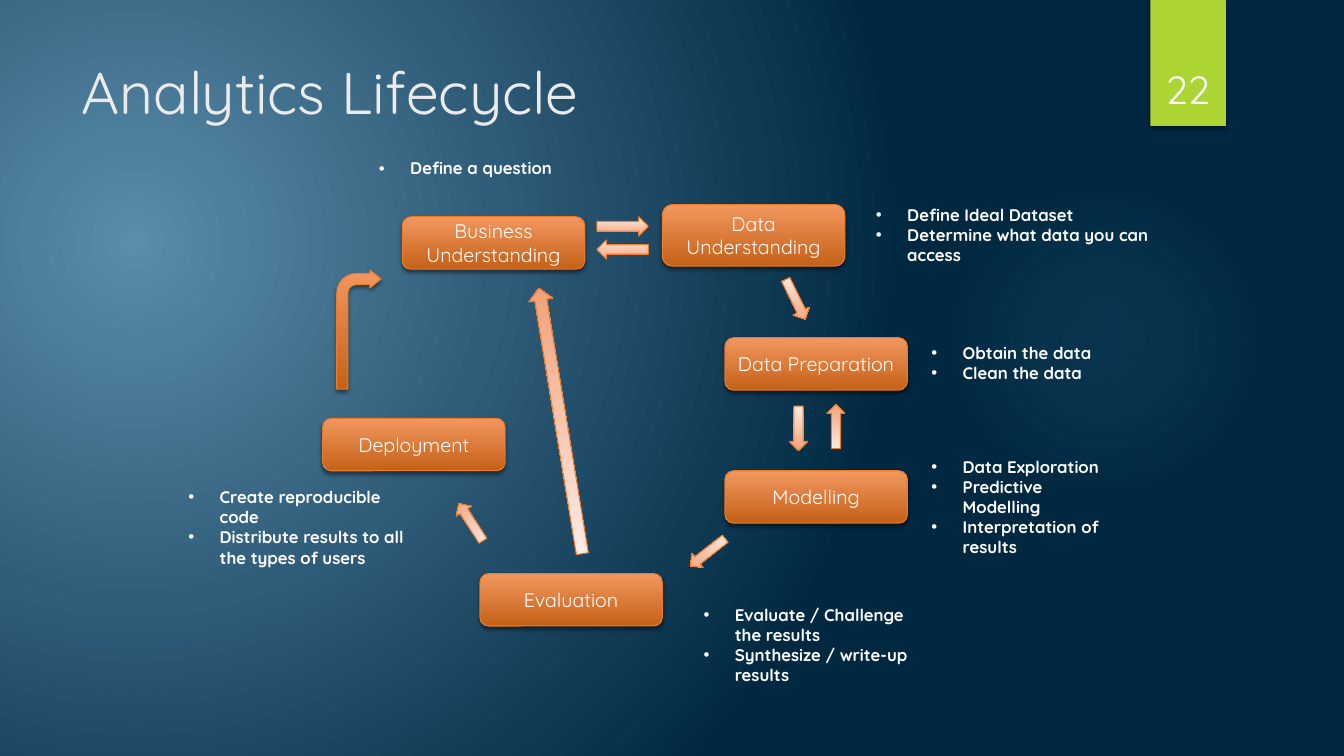
from dataclasses import dataclass

import pptx
import pptx.dml.color
import pptx.enum.shapes
import pptx.enum.text
import pptx.oxml
import pptx.oxml.ns
import pptx.util
from pptx.util import Inches

KIND = pptx.enum.shapes.MSO_SHAPE
ALIGN = pptx.enum.text.PP_ALIGN
ANCHOR = pptx.enum.text.MSO_ANCHOR
FIT = pptx.enum.text.MSO_AUTO_SIZE
qn = pptx.oxml.ns.qn
FONT = "Quicksand"
WHITE = "FFFFFF"
EDGE = "EF7A24"
DARK = [(0, "F2975F", 100), (100, "C56118", 100)]
LIGHT = [(0, "FCEDE7", 100), (100, "F3A078", 100)]
DOWN = '<a:lin ang="5400000" scaled="0"/>'


@dataclass
class Step:
    name: str
    left: float
    top: float
    high: float = 0.52


@dataclass
class Note:
    left: float
    top: float
    wide: float
    high: float
    lines: list[str]


@dataclass
class Arrow:
    left: float
    top: float
    turn: float = 0
    wide: float = 0.18
    high: float = 0.44
    kind: KIND = KIND.DOWN_ARROW


STEPS = [
    Step("Business Understanding", 3.99, 2.15),
    Step("Deployment", 3.2, 4.15),
    Step("Data Understanding", 6.57, 2.03, 0.61),
    Step("Data Preparation", 7.19, 3.35),
    Step("Modelling", 7.19, 4.67),
    Step("Evaluation", 4.76, 5.69),
]
NOTES = [
    Note(3.66, 1.52, 2.01, 0.3, ["Define a question"]),
    Note(8.59, 1.98, 2.96, 0.71,
         ["Define Ideal Dataset", "Determine what data you can access"]),
    Note(9.14, 3.35, 1.89, 0.5, ["Obtain the data", "Clean the data"]),
    Note(9.14, 4.48, 1.89, 1.11,
         ["Data Exploration", "Predictive Modelling", "Interpretation of results"]),
    Note(6.88, 5.95, 2.39, 0.91,
         ["Evaluate / Challenge the results", "Synthesize / write-up results"]),
    Note(1.77, 4.78, 2.51, 0.71,
         ["Create reproducible code", "Distribute results to all the types of users"]),
]
ARROWS = [
    Arrow(5.92, 2.15, 0, 0.51, 0.19, KIND.RIGHT_ARROW),
    Arrow(5.92, 2.38, 0, 0.51, 0.19, KIND.LEFT_ARROW),
    Arrow(7.8, 2.75, 334),
    Arrow(7.83, 4.03),
    Arrow(6.93, 5.26, 52),
    Arrow(4.58, 4.96, 147),
    Arrow(8.2, 4.01, 180),
    Arrow(5.44, 2.84, 170.7, 0.24, 2.67),
]


def rgb(code: str):
    return pptx.dml.color.RGBColor.from_string(code)


def parts(xml: str):
    """Read a run of drawing elements from XML text."""
    space = pptx.oxml.ns.nsdecls("a")
    return list(pptx.oxml.parse_xml(f"<a:gradFill {space}>{xml}</a:gradFill>"))


def blend(owner, fill, stops: list[tuple[int, str, int]], way: str) -> None:
    """Fill with a gradient of (place, colour, opacity) stops, in percent."""
    fill.gradient()
    grad = owner.element.find(".//" + qn("a:gradFill"))
    for child in list(grad):
        grad.remove(child)
    grad.set("rotWithShape", "1")
    marks = "".join(
        f'<a:gs pos="{place * 1000}"><a:srgbClr val="{code}">'
        f'<a:alpha val="{alpha * 1000}"/></a:srgbClr></a:gs>'
        for place, code, alpha in stops)
    grad.extend(parts(f"<a:gsLst>{marks}</a:gsLst>{way}"))


def round_way(left: int, top: int, right: int, bottom: int) -> str:
    return (f'<a:path path="circle"><a:fillToRect l="{left * 1000}" t="{top * 1000}" '
            f'r="{right * 1000}" b="{bottom * 1000}"/></a:path>')


def style(frame, size: float, code: str = WHITE, bold: bool = False,
          align=ALIGN.LEFT) -> None:
    for para in frame.paragraphs:
        para.alignment = align
        for run in para.runs:
            run.font.name = FONT
            run.font.size = pptx.util.Pt(size)
            run.font.bold = bold
            run.font.color.rgb = rgb(code)


def add_shape(slide, kind, left: float, top: float, wide: float, high: float):
    shape = slide.shapes.add_shape(
        kind, Inches(left), Inches(top), Inches(wide), Inches(high))
    shape.shadow.inherit = False
    shape.line.fill.background()
    return shape


def add_text(slide, left: float, top: float, wide: float, high: float, text: str):
    frame = slide.shapes.add_textbox(
        Inches(left), Inches(top), Inches(wide), Inches(high)).text_frame
    frame.word_wrap = True
    frame.text = text
    return frame


def add_shadow(shape) -> None:
    shape.element.find(".//" + qn("a:effectLst")).extend(parts(
        '<a:outerShdw blurRad="38100" dist="25400" dir="5400000" rotWithShape="0">'
        '<a:srgbClr val="000000"><a:alpha val="45000"/></a:srgbClr></a:outerShdw>'))


def paint(shape, stops: list[tuple[int, str, int]]) -> None:
    """Give a shape its downward gradient and orange edge."""
    blend(shape, shape.fill, stops, DOWN)
    shape.line.color.rgb = rgb(EDGE)
    shape.line.width = pptx.util.Pt(0.75)


def draw_note(slide, note: Note) -> None:
    frame = add_text(slide, note.left, note.top, note.wide, note.high,
                     "\n".join(note.lines))
    frame.auto_size = FIT.SHAPE_TO_FIT_TEXT
    style(frame, 12, bold=True)
    for para in frame.paragraphs:
        props = para._p.get_or_add_pPr()
        props.set("marL", str(Inches(0.31)))
        props.set("indent", str(Inches(-0.31)))
        props.extend(parts('<a:buFont typeface="Arial"/><a:buChar char="•"/>'))


def draw_step(slide, step: Step) -> None:
    box = add_shape(slide, KIND.ROUNDED_RECTANGLE, step.left, step.top, 1.81, step.high)
    paint(box, DARK)
    add_shadow(box)
    frame = box.text_frame
    frame.word_wrap = True
    frame.vertical_anchor = ANCHOR.MIDDLE
    frame.text = step.name
    style(frame, 14, align=ALIGN.CENTER)


def draw_arrow(slide, arrow: Arrow) -> None:
    shape = add_shape(slide, arrow.kind, arrow.left, arrow.top, arrow.wide, arrow.high)
    shape.rotation = arrow.turn
    paint(shape, LIGHT)


def draw_frame(slide) -> None:
    """Draw the backdrop, the title and the page number."""
    blend(slide, slide.background.fill,
          [(0, "5A8CAB", 100), (100, "002841", 100)], round_way(45, 65, 125, 100))
    glow = add_shape(slide, KIND.OVAL, 9.41, 1.83, 3.08, 3.08)
    blend(glow, glow.fill, [(0, "7AC4F0", 7), (36, "7AC4F0", 6), (69, "7AC4F0", 0)],
          round_way(50, 50, 50, 50))
    tab = add_shape(slide, KIND.RECTANGLE, 11.41, 0, 0.75, 1.25)
    tab.fill.solid()
    tab.fill.fore_color.rgb = rgb("ACD433")
    add_shadow(tab)

    title = slide.shapes.title
    title.left, title.top = Inches(0.71), Inches(0.5)
    title.width, title.height = Inches(10.29), Inches(1.53)
    title.text_frame.text = "Analytics Lifecycle"
    title.text_frame.vertical_anchor = ANCHOR.TOP
    title.text_frame.auto_size = FIT.NONE
    style(title.text_frame, 42, "EBEBEB")

    page = add_text(slide, 11.32, 0.32, 0.92, 0.84, "22")
    page.vertical_anchor = ANCHOR.BOTTOM
    style(page, 28, align=ALIGN.CENTER)


def main() -> None:
    deck = pptx.Presentation()
    deck.slide_width, deck.slide_height = Inches(13.33), Inches(7.5)
    slide = deck.slides.add_slide(deck.slide_layouts[5])
    draw_frame(slide)
    for note in NOTES:
        draw_note(slide, note)
    for step in STEPS:
        draw_step(slide, step)
    for arrow in ARROWS:
        draw_arrow(slide, arrow)
    bend = add_shape(slide, KIND.BENT_ARROW, 3.34, 2.68, 0.44, 1.18)
    for spot, value in enumerate([0.25, 0.2, 0.25, 0.44]):
        bend.adjustments[spot] = value
    paint(bend, DARK)
    add_shadow(bend)
    deck.save("out.pptx")


if __name__ == "__main__":
    main()
